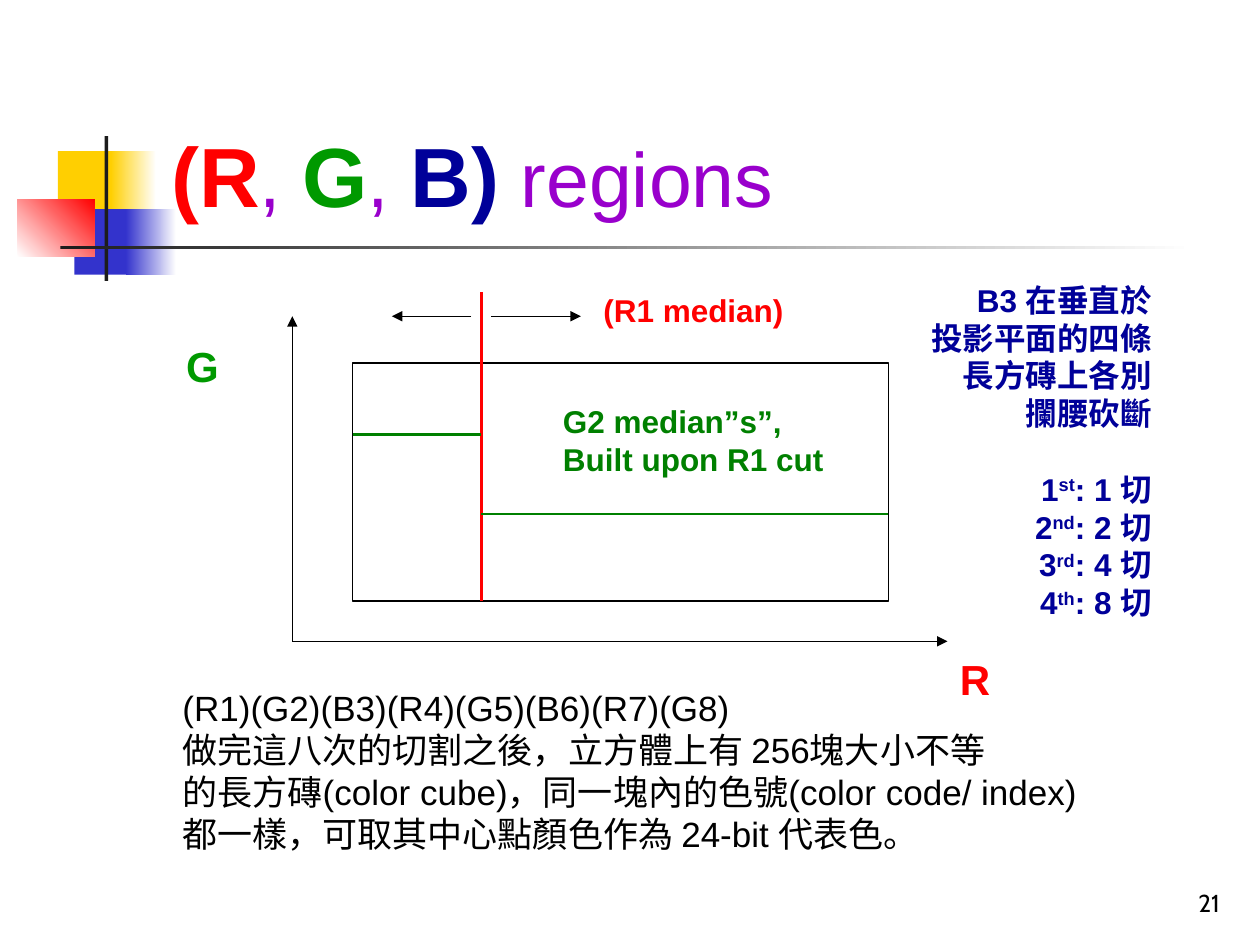
from typing import NamedTuple

from pptx import Presentation
from pptx.dml.color import RGBColor
from pptx.enum.shapes import MSO_CONNECTOR, MSO_SHAPE
from pptx.enum.text import MSO_ANCHOR, MSO_AUTO_SIZE, PP_ALIGN
from pptx.oxml.ns import qn
from pptx.util import Inches, Pt
from lxml.etree import SubElement

HUES = {
    "white": "FFFFFF", "black": "000000", "dark": "1C1C1C",
    "gold": "FFCF01", "blue": "3333CC", "navy": "000099",
    "red": "FF0000", "green": "009900", "leaf": "008000",
    "violet": "9900CC",
}


class Box(NamedTuple):
    """Left, top, width and height in inches."""
    x: float
    y: float
    w: float
    h: float


class Block(NamedTuple):
    """A filled block; a second hue makes a gradient."""
    box: Box
    hue: str
    end: str = ""
    turn: int = 0


class Line(NamedTuple):
    """A straight line between two points."""
    x1: float
    y1: float
    x2: float
    y2: float
    hue: str = "black"
    wide: float = 0.75
    arrow: bool = False


class Run(NamedTuple):
    """A piece of text whose set fields override the box format."""
    text: str
    hue: str = ""
    size: float = 0
    bold: bool | None = None
    lift: bool = False


class Para(NamedTuple):
    """A paragraph of runs with space before it in points."""
    runs: list[Run]
    gap: float = 0


LEFT, RIGHT, TOP, BASE = 2.8, 7.05, 2.88, 4.77
CUT, ORIGIN, FLOOR, PEAK = 3.82, 2.32, 5.09, 2.51

BLOCKS = [
    Block(Box(0.46, 1.2, 0.48, 0.52), "gold"),
    Block(Box(0.88, 1.2, 0.36, 0.52), "gold", "white"),
    Block(Box(0.59, 1.66, 0.46, 0.52), "blue"),
    Block(Box(1, 1.66, 0.4, 0.52), "blue", "white"),
    Block(Box(0.14, 1.58, 0.61, 0.46), "white", "red", 45),
    Block(Box(0.83, 1.08, 0.03, 1.15), "dark"),
    Block(Box(0.48, 1.95, 9, 0.03), "dark", "white"),
]

LINES = [
    Line(ORIGIN, FLOOR, 7.52, FLOOR, arrow=True),
    Line(ORIGIN, FLOOR, ORIGIN, PEAK, arrow=True),
    Line(CUT, 2.32, CUT, BASE, "red", 1.5),
    Line(3.9, PEAK, 4.61, PEAK, arrow=True),
    Line(3.74, PEAK, 3.11, PEAK, arrow=True),
    Line(LEFT, 3.45, CUT, 3.45, "leaf", 1.5),
    Line(CUT, 4.08, RIGHT, 4.08, "leaf", 1.5),
]

TITLE = [
    Run("(R", "red", 48, True), Run(", "),
    Run("G", "green", 48, True), Run(", "),
    Run("B)", "navy", 48, True), Run(" regions"),
]

BODY = [
    "(R1)(G2)(B3)(R4)(G5)(B6)(R7)(G8)",
    "做完這八次的切割之後，立方體上有 256塊大小不等",
    "的長方磚(color cube)，同一塊內的色號(color code/ index)",
    "都一樣，可取其中心點顏色作為 24-bit 代表色。",
]

SIDE = ["B3 在垂直於", "投影平面的四條", "長方磚上各別", "攔腰砍斷"]
ENDS = ["st", "nd", "rd", "th"]


def tint(name: str) -> RGBColor:
    """Return the named colour."""
    return RGBColor.from_string(HUES[name])


def add_block(slide, block: Block) -> None:
    """Draw a solid or gradient block without an outline."""
    shape = slide.shapes.add_shape(MSO_SHAPE.RECTANGLE, *map(Inches, block.box))
    shape.shadow.inherit = False
    shape.line.fill.background()
    if not block.end:
        shape.fill.solid()
        shape.fill.fore_color.rgb = tint(block.hue)
        return
    shape.fill.gradient()
    shape.fill.gradient_angle = block.turn
    for stop, hue in zip(shape.fill.gradient_stops, (block.hue, block.end)):
        stop.color.rgb = tint(hue)


def add_frame(slide, box: Box) -> None:
    """Draw the outline of the colour region."""
    shape = slide.shapes.add_shape(MSO_SHAPE.RECTANGLE, *map(Inches, box))
    shape.shadow.inherit = False
    shape.fill.background()
    shape.line.color.rgb = tint("black")
    shape.line.width = Pt(0.75)


def add_line(slide, line: Line) -> None:
    """Draw a line, with an arrowhead at its end if asked."""
    ends = map(Inches, line[:4])
    link = slide.shapes.add_connector(MSO_CONNECTOR.STRAIGHT, *ends)
    link.line.color.rgb = tint(line.hue)
    link.line.width = Pt(line.wide)
    props = link.element.spPr
    if line.arrow:
        SubElement(props.find(qn("a:ln")), qn("a:tailEnd"), type="triangle")
    SubElement(props, qn("a:effectLst"))


def add_text(slide, box: Box, paras: list[str | Para], *, size: float,
             hue: str = "black", bold: bool = False, font: str = "Arial",
             align=PP_ALIGN.LEFT, anchor=MSO_ANCHOR.TOP,
             wrap: bool = False) -> None:
    """Write paragraphs in a text box."""
    frame = slide.shapes.add_textbox(*map(Inches, box)).text_frame
    frame.word_wrap = wrap
    frame.auto_size = (MSO_AUTO_SIZE.NONE if wrap
                       else MSO_AUTO_SIZE.SHAPE_TO_FIT_TEXT)
    frame.vertical_anchor = anchor
    for i, item in enumerate(paras):
        para = item if isinstance(item, Para) else Para([Run(item)])
        line = frame.add_paragraph() if i else frame.paragraphs[0]
        line.alignment = align
        if para.gap:
            line.space_before = Pt(para.gap)
        for part in para.runs:
            run = line.add_run()
            run.text = part.text
            run.font.name = font
            run.font.size = Pt(part.size or size)
            run.font.bold = bold if part.bold is None else part.bold
            run.font.color.rgb = tint(part.hue or hue)
            if part.lift:
                run._r.get_or_add_rPr().set("baseline", "30000")


def main() -> None:
    """Build the slide on median cuts of colour regions."""
    deck = Presentation()
    deck.slide_width, deck.slide_height = Inches(10), Inches(7.5)
    slide = deck.slides.add_slide(deck.slide_layouts[6])
    for block in BLOCKS:
        add_block(slide, block)
    add_text(slide, Box(7.7, 6.83, 2.08, 0.5), ["21"], size=14, font="Cabin",
             align=PP_ALIGN.RIGHT, anchor=MSO_ANCHOR.BOTTOM, wrap=True)
    add_text(slide, Box(1.26, 0.23, 8.52, 1.6), [Para(TITLE)], size=44,
             hue="violet", anchor=MSO_ANCHOR.BOTTOM, wrap=True)
    add_text(slide, Box(7.52, 5.14, 0.44, 0.5), ["R"], size=24, hue="red",
             bold=True)
    add_text(slide, Box(1.38, 2.65, 0.46, 0.5), ["G"], size=24, hue="green",
             bold=True)
    add_text(slide, Box(1.35, 5.4, 7.57, 1.44), BODY, size=20)
    add_frame(slide, Box(LEFT, TOP, RIGHT - LEFT, BASE - TOP))
    for line in LINES:
        add_line(slide, line)
    add_text(slide, Box(4.69, 2.26, 1.63, 0.4), ["(R1 median)"], size=18,
             hue="red", bold=True)
    add_text(slide, Box(4.37, 3.14, 2.27, 0.7),
             ["G2 median”s”,", "Built upon R1 cut"], size=18, hue="leaf",
             bold=True)
    cuts = [Para([Run(f"{i + 1}"), Run(end, lift=True), Run(f": {2 ** i} 切")],
                 0 if i else 21.6) for i, end in enumerate(ENDS)]
    add_text(slide, Box(7.29, 2.18, 1.95, 2.8), SIDE + cuts, size=18,
             hue="navy", bold=True, align=PP_ALIGN.RIGHT)
    deck.save("out.pptx")


if __name__ == "__main__":
    main()
